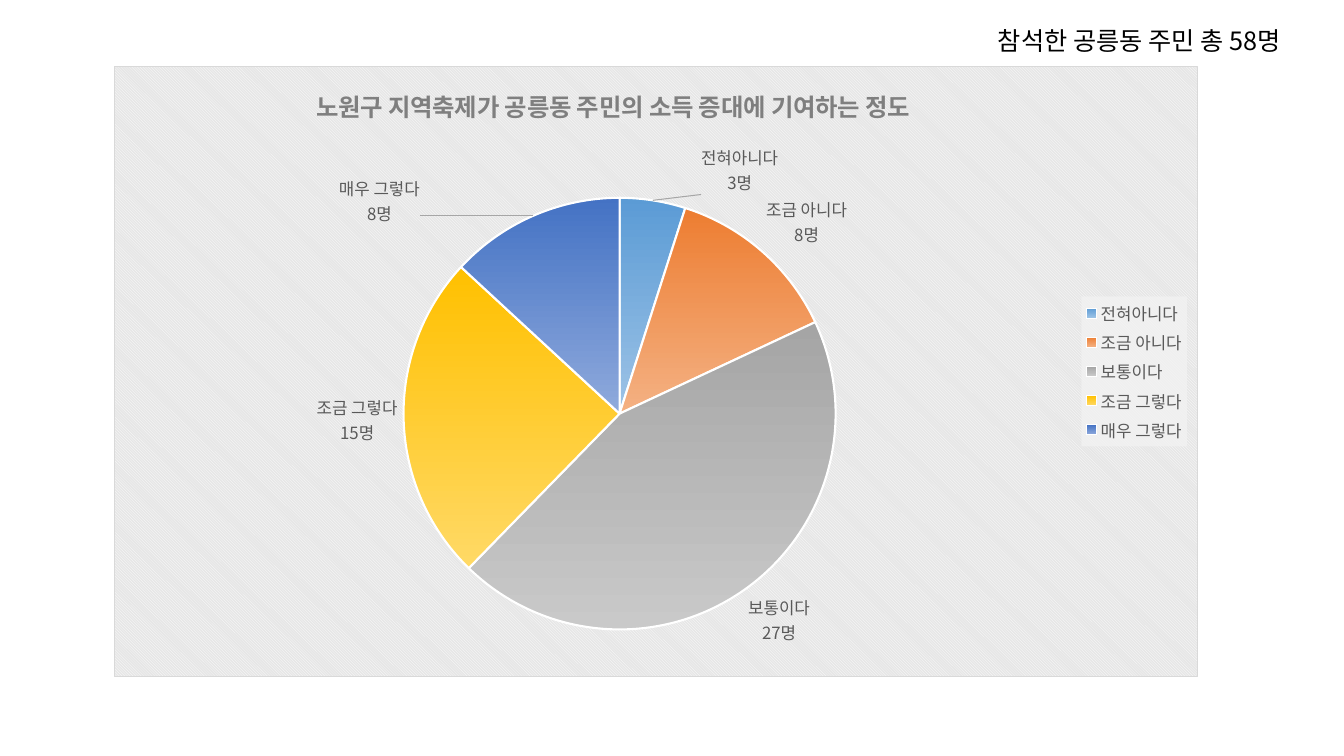
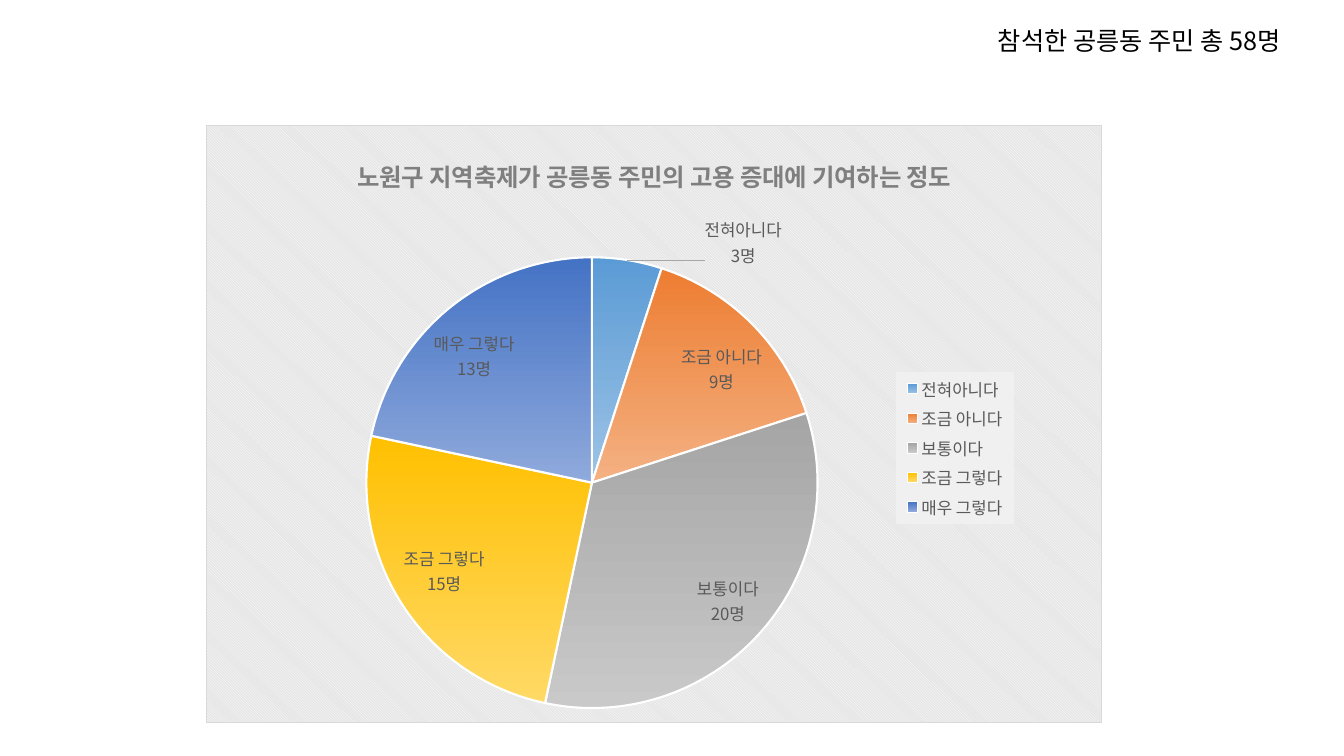
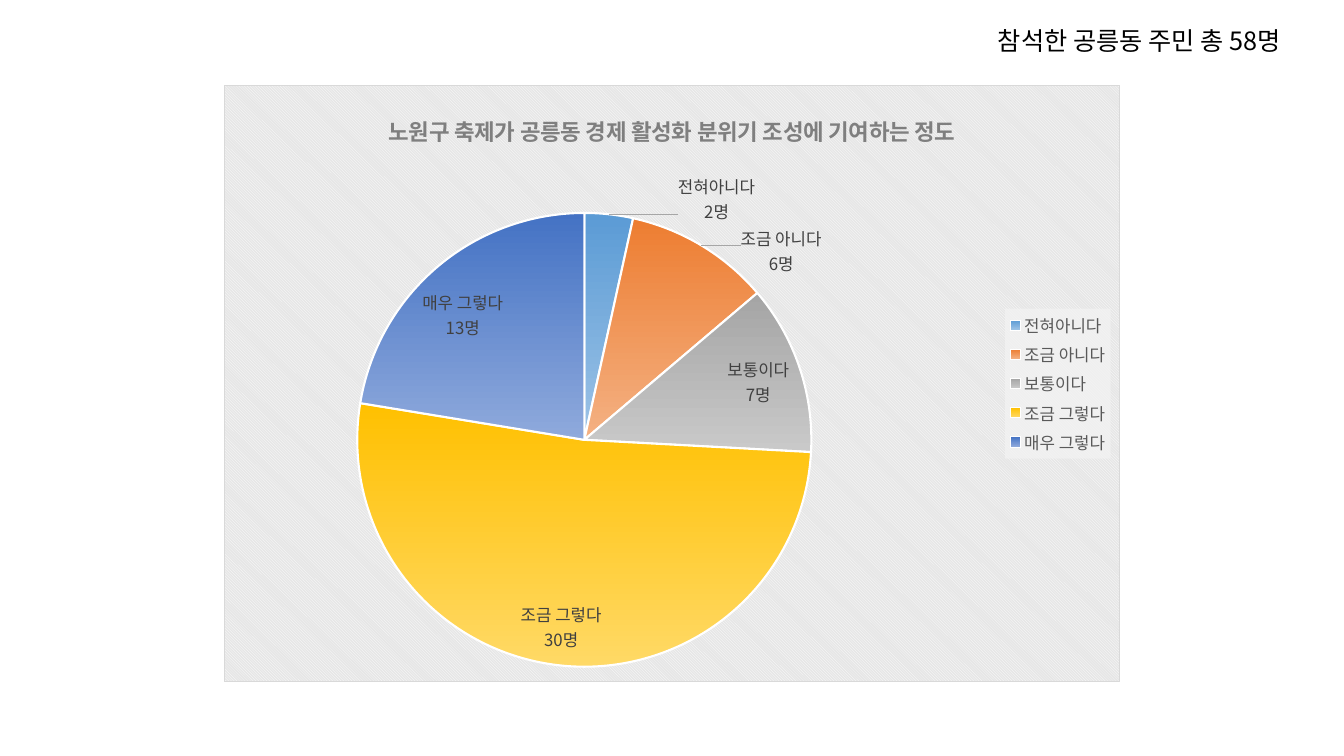
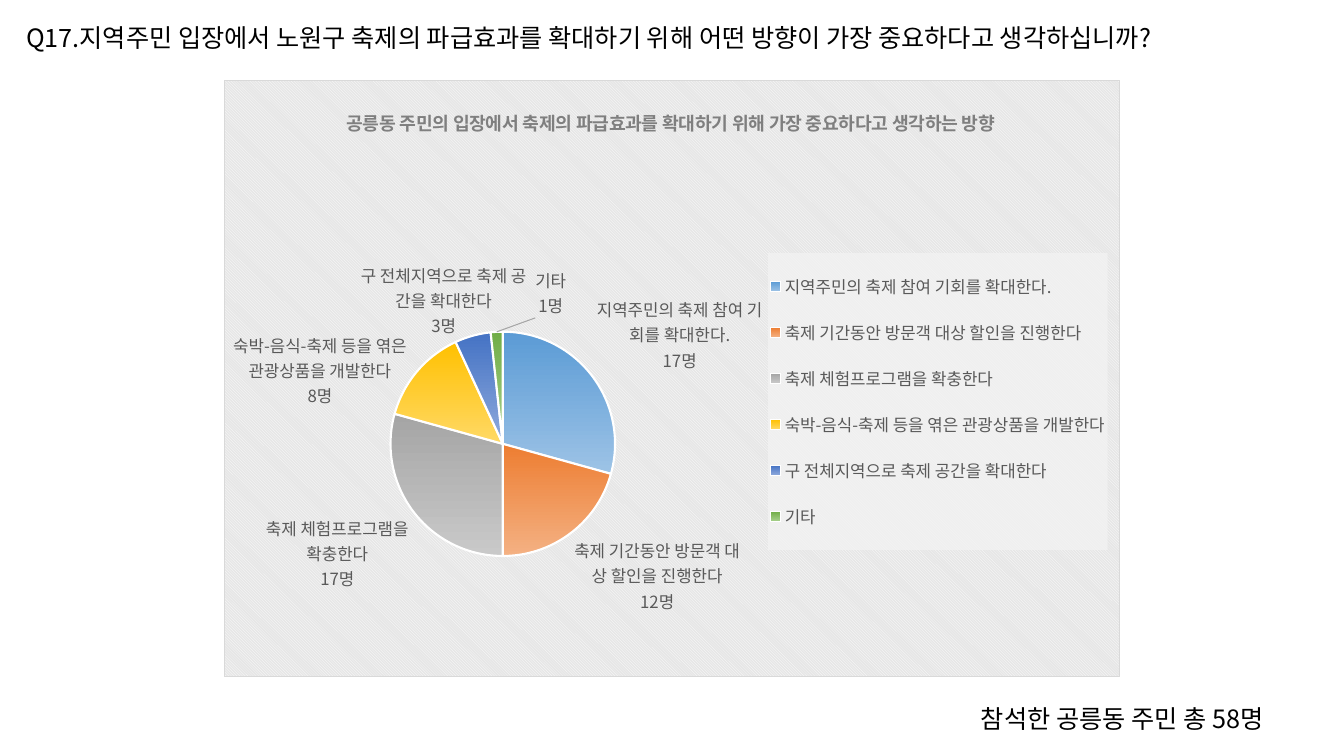
from copy import deepcopy

from pptx import Presentation
from pptx.chart.data import CategoryChartData
from pptx.dml.color import RGBColor
from pptx.enum.chart import XL_CHART_TYPE, XL_LABEL_POSITION, XL_LEGEND_POSITION
from pptx.enum.text import MSO_AUTO_SIZE
from pptx.oxml import parse_xml
from pptx.oxml.ns import nsdecls, qn
from pptx.util import Inches, Pt

FONT = "Noto Sans CJK KR"
GRADIENTS = [("5B9BD5", "9DC3E6"), ("ED7D31", "F4B183"), ("A5A5A5", "C9C9C9"),
             ("FFC000", "FFD966"), ("4472C4", "8FAADC"), ("70AD47", "A9D18E")]
BLACK, WHITE, TITLE_GREY, TEXT_GREY, DARK_GREY = "000000", "FFFFFF", "7F7F7F", "595959", "404040"
AGREEMENT = ["전혀아니다", "조금 아니다", "보통이다", "조금 그렇다", "매우 그렇다"]
DIRECTIONS = ["지역주민의 축제 참여 기회를 확대한다.", "축제 기간동안 방문객 대상 할인을 진행한다",
              "축제 체험프로그램을 확충한다", "숙박-음식-축제 등을 엮은 관광상품을 개발한다",
              "구 전체지역으로 축제 공간을 확대한다", "기타"]
ATTENDANCE = "참석한 공릉동 주민 총 58명"
QUESTION = "Q17.지역주민 입장에서 노원구 축제의 파급효과를 확대하기 위해 어떤 방향이 가장 중요하다고 생각하십니까?"
TOP_RIGHT = [(ATTENDANCE, (9.8, 0.2, 3.36, 0.4))]

SLIDES = [
    dict(box=(1.13, 0.65, 10.75, 6.07), title="노원구 지역축제가 공릉동 주민의 소득 증대에 기여하는 정도",
         title_size=17.4, title_at=(1.96, 0.15), categories=AGREEMENT, values=(3, 8, 27, 15, 8),
         pie=(2.87, 1.31, 4.29, 4.29), legend=(9.6, 2.29, 1.05, 1.49),
         position=XL_LABEL_POSITION.OUTSIDE_END, label_color=TEXT_GREY,
         moved={0: (0.47, 0), 4: (-1.1, 0.15)}, captions=TOP_RIGHT),
    dict(box=(2.04, 1.24, 8.89, 5.93), title="노원구 지역축제가 공릉동 주민의 고용 증대에 기여하는 정도",
         title_size=17.4, title_at=(1.46, 0.25), categories=AGREEMENT, values=(3, 9, 20, 15, 13),
         pie=(1.59, 1.31, 4.48, 4.48), legend=(6.85, 2.45, 1.17, 1.51),
         position=XL_LABEL_POSITION.BEST_FIT, label_color=TEXT_GREY,
         moved={0: (0.76, 0.13)}, captions=TOP_RIGHT),
    dict(box=(2.22, 0.84, 8.89, 5.93), title="노원구 축제가 공릉동 경제 활성화 분위기 조성에 기여하는 정도",
         title_size=16, title_at=(1.59, 0.23), categories=AGREEMENT, values=(2, 6, 7, 30, 13),
         pie=(1.32, 1.27, 4.51, 4.51), legend=(7.75, 2.22, 1.05, 1.49),
         position=XL_LABEL_POSITION.BEST_FIT, label_color=DARK_GREY,
         moved={0: (0.68, 0.15), 1: (0.36, 0.35)}, captions=TOP_RIGHT),
    dict(box=(2.22, 0.79, 8.89, 5.93),
         title="공릉동 주민의 입장에서 축제의 파급효과를 확대하기 위해 가장 중요하다고 생각하는 방향",
         title_size=13, title_at=(1.18, 0.24), categories=DIRECTIONS, values=(17, 12, 17, 8, 3, 1),
         pie=(1.65, 2.5, 2.23, 2.23), legend=(5.4, 1.72, 3.37, 2.95),
         position=XL_LABEL_POSITION.BEST_FIT, label_color=TEXT_GREY,
         moved={3: (-0.06, 0.4), 4: (0.55, 0.08), 5: (0.54, -0.08)},
         captions=[(QUESTION, (0.16, 0.17, 12.68, 0.4)), (ATTENDANCE, (9.63, 6.93, 3.36, 0.4))]),
]


def color(value):
    """Turn a hex string into a colour."""
    return RGBColor.from_string(value)


def style_font(font, size, hex_color, bold=False):
    """Apply the deck's typeface with a size, colour and weight."""
    for name, value in dict(name=FONT, size=Pt(size), bold=bold).items():
        setattr(font, name, value)
    font.color.rgb = color(hex_color)


def use_korean_font(root):
    """Give East Asian text the same typeface as Latin text."""
    for latin in list(root.iter(qn("a:latin"))):
        latin.addnext(parse_xml(f'<a:ea {nsdecls("a")} typeface="{FONT}"/>'))


def set_layout(parent, index, frame, size, inner=False, offset=False):
    """Place a chart part at a frame in inches inside a chart of the given size."""
    for old in parent.findall(qn("c:layout")):
        parent.remove(old)
    target = '<c:layoutTarget val="inner"/>' if inner else ""
    modes = "" if offset else '<c:xMode val="edge"/><c:yMode val="edge"/>'
    parts = "".join(f'<c:{key} val="{length / size[axis % 2]:.4f}"/>'
                    for axis, (key, length) in enumerate(zip("xywh", frame)))
    parent.insert(index, parse_xml(
        f'<c:layout {nsdecls("c")}><c:manualLayout>{target}{modes}{parts}</c:manualLayout></c:layout>'))


def add_caption(page, text, box):
    """Add one unwrapped line of text."""
    frame = page.shapes.add_textbox(*map(Inches, box)).text_frame
    for name, value in dict(word_wrap=False, auto_size=MSO_AUTO_SIZE.SHAPE_TO_FIT_TEXT).items():
        setattr(frame, name, value)
    span = frame.paragraphs[0].add_run()
    span.text = text
    style_font(span.font, 18, BLACK)


def label_slices(series, position, label_color, moved, size):
    """Label slices with category and count, shifting the moved ones."""
    labels = series.data_labels
    formats = dict(show_category_name=True, show_value=True, show_percentage=False,
                   number_format='0"명"', number_format_is_linked=False, position=position)
    for name, value in formats.items():
        setattr(labels, name, value)
    style_font(labels.font, 12, label_color)
    element = series._element.find(qn("c:dLbls"))
    separator = parse_xml(f'<c:separator {nsdecls("c")}>\n</c:separator>')
    element.find(qn("c:showBubbleSize")).addnext(separator)
    shared = [part for part in element if part.tag != qn("c:showLeaderLines")]
    for place, (index, shift) in enumerate(moved.items()):
        label = parse_xml(f'<c:dLbl {nsdecls("c")}><c:idx val="{index}"/></c:dLbl>')
        label.extend(deepcopy(part) for part in shared)
        set_layout(label, 1, shift, size, offset=True)
        element.insert(place, label)
    for old in element.findall(qn("c:showLeaderLines")):
        element.remove(old)
    element.append(parse_xml(f'<c:showLeaderLines {nsdecls("c")} val="1"/>'))
    element.append(parse_xml(
        f'<c:leaderLines {nsdecls("c", "a")}><c:spPr><a:ln w="9525"><a:solidFill>'
        '<a:srgbClr val="A6A6A6"/></a:solidFill></a:ln></c:spPr></c:leaderLines>'))


def paint_slices(series, count):
    """Fill each slice with its vertical gradient and a white outline."""
    for index, shades in enumerate(GRADIENTS[:count]):
        slice_format = series.points[index].format
        slice_format.fill.gradient()
        slice_format.fill.gradient_angle = 270
        for stop, shade, place in zip(slice_format.fill.gradient_stops, shades, (0, 1)):
            stop.color.rgb = color(shade)
            stop.position = place
        slice_format.line.color.rgb = color(WHITE)
        slice_format.line.width = Pt(1.5)


def paint_backgrounds(chart):
    """Give the chart its hatched panel and the legend its translucent one."""
    chart.element.find(qn("c:txPr")).addprevious(parse_xml(
        f'<c:spPr {nsdecls("c", "a")}><a:pattFill prst="dkDnDiag">'
        '<a:fgClr><a:srgbClr val="FFFFFF"/></a:fgClr><a:bgClr><a:srgbClr val="E6E6E6"/></a:bgClr>'
        '</a:pattFill><a:ln w="9525"><a:solidFill><a:srgbClr val="D9D9D9"/></a:solidFill></a:ln></c:spPr>'))
    chart.element.find(".//" + qn("c:legend")).find(qn("c:txPr")).addprevious(parse_xml(
        f'<c:spPr {nsdecls("c", "a")}><a:solidFill><a:srgbClr val="F2F2F2">'
        '<a:alpha val="80000"/></a:srgbClr></a:solidFill></c:spPr>'))


def add_pie(page, box, title, title_size, title_at, categories, values, pie, legend,
            position, label_color, moved):
    """Add a survey pie chart whose parts are placed relative to its box."""
    data = CategoryChartData()
    data.categories = categories
    data.add_series("응답", values)
    chart = page.shapes.add_chart(XL_CHART_TYPE.PIE, *map(Inches, box), data).chart
    style_font(chart.font, 10, BLACK)
    para = chart.chart_title.text_frame.paragraphs[0]
    span = para.add_run()
    span.text = title
    style_font(span.font, title_size, TITLE_GREY, True)
    chart.has_legend = True
    chart.legend.position = XL_LEGEND_POSITION.RIGHT
    chart.legend.include_in_layout = False
    style_font(chart.legend.font, 12, TEXT_GREY)

    size = box[2:]
    for tag, index, frame in (("title", 1, title_at), ("legend", 1, legend), ("plotArea", 0, pie)):
        part = chart.element.find(".//" + qn("c:" + tag))
        set_layout(part, index, frame, size, inner=tag == "plotArea")
    plot = chart.plots[0]
    plot.vary_by_categories = True
    series = plot.series[0]
    paint_slices(series, len(values))
    label_slices(series, position, label_color, moved, size)
    paint_backgrounds(chart)
    use_korean_font(chart.element)


def add_survey_page(deck, captions, **chart_values):
    """Add a page with one pie chart and its captions."""
    page = deck.slides.add_slide(deck.slide_layouts[6])
    add_pie(page, **chart_values)
    for text, box in captions:
        add_caption(page, text, box)
    use_korean_font(page.shapes.element)


def main():
    """Build and save the deck."""
    deck = Presentation()
    deck.slide_width, deck.slide_height = Inches(13.33), Inches(7.5)
    for values in SLIDES:
        add_survey_page(deck, **values)
    deck.save("out.pptx")


if __name__ == "__main__":
    main()
